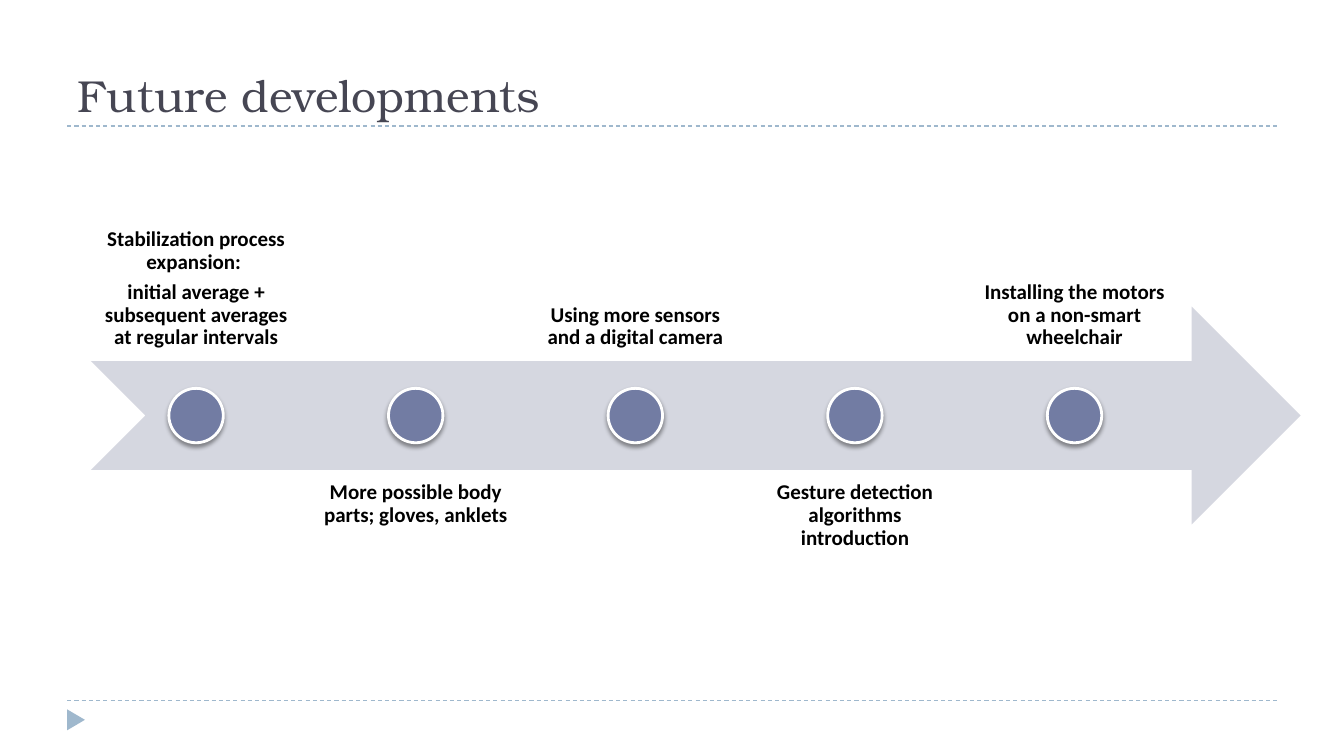
import lxml.etree
import pptx
import pptx.dml.color
import pptx.enum.dml
import pptx.enum.shapes
import pptx.enum.text
import pptx.oxml
import pptx.oxml.ns
import pptx.util

Pt = pptx.util.Pt
Shape = pptx.enum.shapes.MSO_SHAPE
Anchor = pptx.enum.text.MSO_ANCHOR
Align = pptx.enum.text.PP_ALIGN

MILESTONES = [
    ["Stabilization process expansion: ",
     "initial average + subsequent averages at regular intervals"],
    ["More possible body parts; gloves, anklets"],
    ["Using more sensors and a digital camera"],
    ["Gesture detection algorithms introduction"],
    ["Installing the motors on a non-smart wheelchair"],
]
TITLE_FONT = {"name": "TeX Gyre Bonum", "size": Pt(32)}
LABEL_FONT = {"name": "Calibri", "size": Pt(15), "bold": True}
LABEL_PARAGRAPH = {"alignment": Align.CENTER, "line_spacing": 0.9, "space_after": Pt(5.25)}
SHADOW = (
    '<a:effectLst %s><a:outerShdw blurRad="38100" dist="25400" dir="5400000" rotWithShape="0">'
    '<a:srgbClr val="000000"><a:alpha val="40000"/></a:srgbClr></a:outerShdw></a:effectLst>'
    % pptx.oxml.ns.nsdecls("a")
)


def color(value):
    """Turn a hex string into a colour."""
    return pptx.dml.color.RGBColor.from_string(value)


def apply(target, values):
    """Set attributes from a dict of format values."""
    for name, value in values.items():
        setattr(target, name, value)


def add_text(page, box, texts, anchor, inset, font, ink, layout):
    """Add a wrapped text box with one paragraph for each text."""
    frame = page.shapes.add_textbox(*map(Pt, box)).text_frame
    apply(frame, {"word_wrap": True, "vertical_anchor": anchor})
    apply(frame, dict(zip(("margin_left", "margin_top", "margin_right", "margin_bottom"),
                          map(Pt, inset))))
    for index, text in enumerate(texts):
        para = frame.paragraphs[0] if index == 0 else frame.add_paragraph()
        apply(para, layout)
        span = para.add_run()
        span.text = text
        apply(span.font, font)
        span.font.color.rgb = color(ink)


def add_filled(page, kind, box, fill):
    """Add a preset shape with a plain fill and no line."""
    shape = page.shapes.add_shape(kind, *map(Pt, box))
    shape.shadow.inherit = False
    shape.fill.solid()
    shape.fill.fore_color.rgb = color(fill)
    shape.line.fill.background()
    return shape


def add_rule(page, left, top, width):
    """Add a dashed horizontal rule."""
    rule = page.shapes.add_connector(pptx.enum.shapes.MSO_CONNECTOR.STRAIGHT,
                                     Pt(left), Pt(top), Pt(left + width), Pt(top))
    rule.line.color.rgb = color("9FB8CD")
    apply(rule.line, {"width": Pt(0.75), "dash_style": pptx.enum.dml.MSO_LINE.DASH})
    lxml.etree.SubElement(rule._element.spPr, pptx.oxml.ns.qn("a:effectLst"))


def add_header(page, box, title):
    """Place the title above its rule."""
    left, top, width, height = box
    add_rule(page, left, top + height, width)
    add_text(page, box, [title], Anchor.BOTTOM, (7.2, 3.6, 7.2, 3.6), TITLE_FONT, "464653", {})


def add_footer(page, box):
    """Place the bottom rule and the page marker under it."""
    left, top, width, height = box
    add_rule(page, left, top, width)
    marker = add_filled(page, Shape.ISOSCELES_TRIANGLE,
                        (left - 1.2, top + 7.4, 15, 12.75), "9FB8CD")
    marker.rotation = 90


def add_milestone(page, box, texts, above):
    """Place one dot on the arrow with its label above or below."""
    left, top, width, height = box
    dot = 38.9
    label_height = 155.5
    label_top = top + 38.9 - label_height if above else top + 116.6
    add_text(page, (left, label_top, width, label_height), texts,
             Anchor.BOTTOM if above else Anchor.TOP, (8.5,) * 4,
             LABEL_FONT, "000000", LABEL_PARAGRAPH)
    circle = add_filled(page, Shape.OVAL, (left + (width - dot) / 2, top + (height - dot) / 2,
                                           dot, dot), "727CA3")
    circle.line.color.rgb = color("FFFFFF")
    circle.line.width = Pt(2)
    properties = circle._element.spPr
    properties.remove(properties.find(pptx.oxml.ns.qn("a:effectLst")))
    properties.append(pptx.oxml.parse_xml(SHADOW))


def add_timeline(page, box, milestones):
    """Place the arrow and its evenly spaced milestones."""
    left, top, width, height = box
    add_filled(page, Shape.NOTCHED_RIGHT_ARROW, box, "D5D7E0")
    column = 149.4
    pitch = column * 1.05
    for index, texts in enumerate(milestones):
        add_milestone(page, (left + 0.4 + index * pitch, top, column, height),
                      texts, index % 2 == 0)


def main():
    """Build the slide and save it."""
    deck = pptx.Presentation()
    apply(deck, {"slide_width": Pt(960), "slide_height": Pt(540)})
    page = deck.slides.add_slide(deck.slide_layouts[6])
    add_footer(page, (48, 500.4, 864, 39.6))
    add_header(page, (48, 12.25, 864, 77.75), "Future developments")
    add_timeline(page, (65, 219.1, 864, 155.5), MILESTONES)
    deck.save("out.pptx")


if __name__ == "__main__":
    main()
